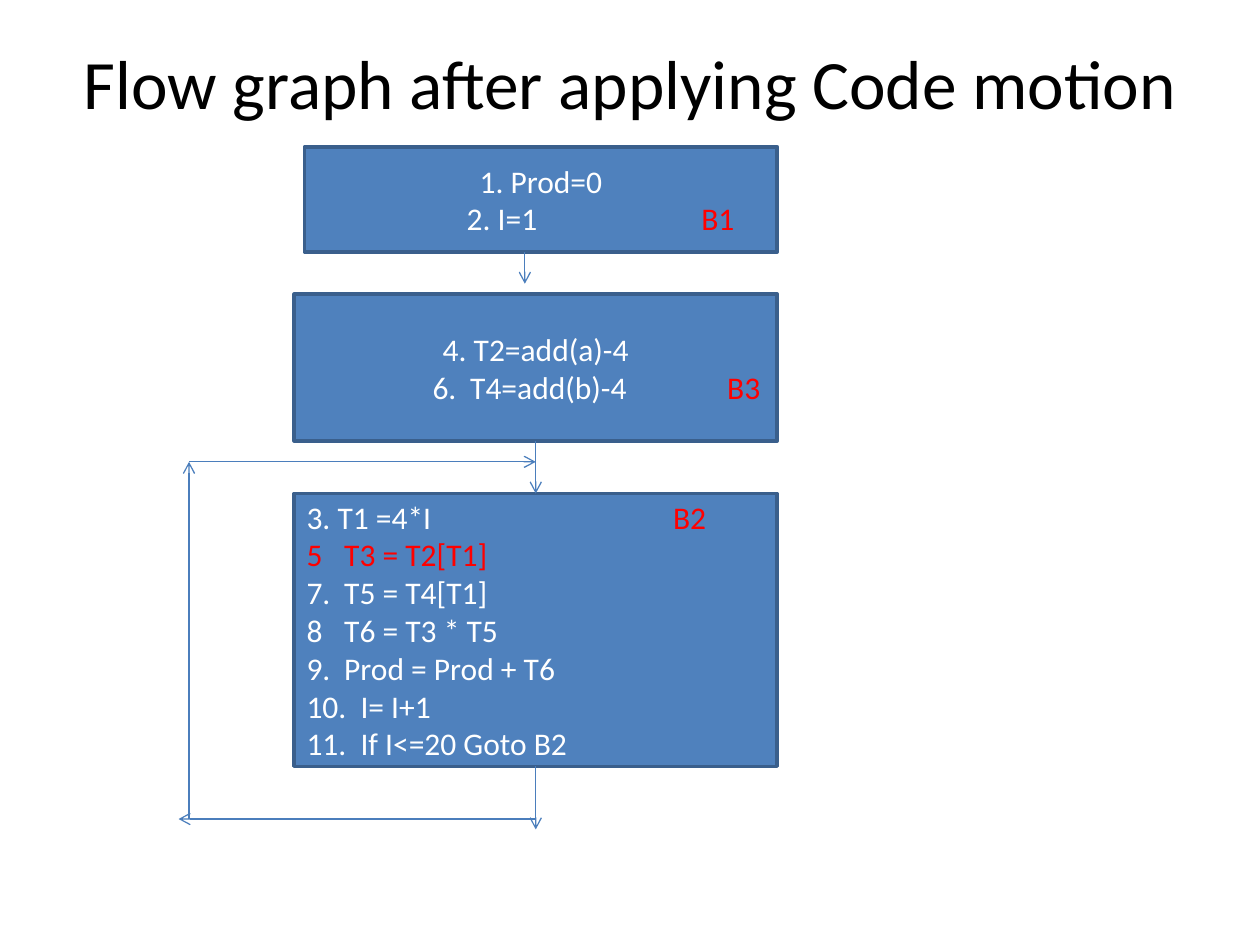
from pptx import Presentation
from pptx.dml.color import RGBColor
from pptx.enum.shapes import MSO_CONNECTOR, MSO_SHAPE
from pptx.enum.text import MSO_ANCHOR, PP_ALIGN
from pptx.oxml.ns import qn
from pptx.util import Cm, Pt
from lxml.etree import SubElement

WHITE, RED = "FFFFFF", "FF0000"


def color(value):
    """Turn a hex string into a colour."""
    return RGBColor.from_string(value)


class FlowGraphSlide:
    """Holds the style and the current slide of a flow graph."""

    font = "Calibri"
    fill, border, arrow_line = "4F81BD", "3A5F8C", "4B7EBC"

    def __init__(self, presentation):
        """Add a title-only slide."""
        self.slide = presentation.slides.add_slide(presentation.slide_layouts[5])

    def add_run(self, paragraph, text, size, hex_color):
        """Append one formatted run."""
        run = paragraph.add_run()
        run.text = text
        run.font.name = self.font
        run.font.size = Pt(size)
        run.font.color.rgb = color(hex_color)

    def title(self, text, left, top, width, height):
        """Place and format the title."""
        shape = self.slide.shapes.title
        shape.left, shape.top, shape.width, shape.height = map(Cm, (left, top, width, height))
        frame = shape.text_frame
        frame.vertical_anchor = MSO_ANCHOR.MIDDLE
        paragraph = frame.paragraphs[0]
        paragraph.alignment = PP_ALIGN.CENTER
        self.add_run(paragraph, text, 39.6, "000000")

    def block(self, left, top, width, height, lines):
        """Add a basic block; each line is its tab stops and its runs."""
        shape = self.slide.shapes.add_shape(
            MSO_SHAPE.RECTANGLE, Cm(left), Cm(top), Cm(width), Cm(height))
        shape.shadow.inherit = False
        shape.fill.solid()
        shape.fill.fore_color.rgb = color(self.fill)
        shape.line.color.rgb = color(self.border)
        shape.line.width = Pt(2)
        frame = shape.text_frame
        frame.word_wrap = True
        frame.vertical_anchor = MSO_ANCHOR.MIDDLE
        for index, (stops, runs) in enumerate(lines):
            paragraph = frame.add_paragraph() if index else frame.paragraphs[0]
            paragraph.alignment = PP_ALIGN.LEFT if stops else PP_ALIGN.CENTER
            if stops:
                self.tab_stops(paragraph, stops)
            for text, hex_color in runs:
                self.add_run(paragraph, text, 18, hex_color)
        return shape

    def tab_stops(self, paragraph, stops):
        """Set left tab stops on a paragraph."""
        tab_list = SubElement(paragraph._p.get_or_add_pPr(), qn("a:tabLst"))
        for stop in stops:
            SubElement(tab_list, qn("a:tab"), pos=str(int(Cm(stop))), algn="l")

    def arrow(self, start, end, source=None, target=None):
        """Draw an arrow, joined to the bottom of source and the top of target."""
        connector = self.slide.shapes.add_connector(
            MSO_CONNECTOR.STRAIGHT, *map(Cm, (*start, *end)))
        if source is not None:
            connector.begin_connect(source, 2)
        if target is not None:
            connector.end_connect(target, 0)
        connector.line.color.rgb = color(self.arrow_line)
        connector.line.width = Pt(0.75)
        SubElement(connector.line._get_or_add_ln(), qn("a:tailEnd"), type="arrow")
        SubElement(connector._element.spPr, qn("a:effectLst"))


def main():
    """Build the flow graph slide."""
    presentation = Presentation()
    presentation.slide_width, presentation.slide_height = Cm(25.4), Cm(19.05)
    graph = FlowGraphSlide(presentation)
    graph.title("Flow graph after applying Code motion", 1.27, 0.76, 22.86, 1.78)

    graph.block(6.14, 2.96, 9.53, 2.12, [
        ([], [("1. Prod=0", WHITE)]),
        ([3.02, 7.75], [("\t2. I=1\t", WHITE), ("B1", RED)]),
    ])
    invariants = graph.block(5.93, 5.93, 9.74, 2.96, [
        ([], [("4. T2=add(a)-4", WHITE)]),
        ([2.54, 3.3, 8.48], [("\t6.\tT4=add(b)-4\t", WHITE), ("B3", RED)]),
    ])
    loop = graph.block(5.93, 9.95, 9.74, 5.5, [
        ([7.39], [("3. T1 =4*I\t", WHITE), ("B2", RED)]),
        ([0.76], [("5\tT3 = T2[T1]", RED)]),
        ([0.76], [("7.\tT5 = T4[T1]", WHITE)]),
        ([0.76], [("8\tT6 = T3 * T5", WHITE)]),
        ([0.76], [("9.\tProd = Prod + T6", WHITE)]),
        ([1.09], [("10.\tI= I+1", WHITE)]),
        ([1.09], [("11.\tIf I<=20 Goto B2", WHITE)]),
    ])

    center, back, entry, leave = 10.8, 3.81, 9.31, 16.51
    graph.arrow((10.58, 5.08), (10.58, 5.72))
    graph.arrow((center, 8.89), (center, 9.95), invariants, loop)
    graph.arrow((center, 15.45), (center, 16.72), loop)
    graph.arrow((center, leave), (3.6, leave))
    graph.arrow((back, leave), (back, entry))
    graph.arrow((back, entry), (center, entry))
    presentation.save("out.pptx")


if __name__ == "__main__":
    main()
